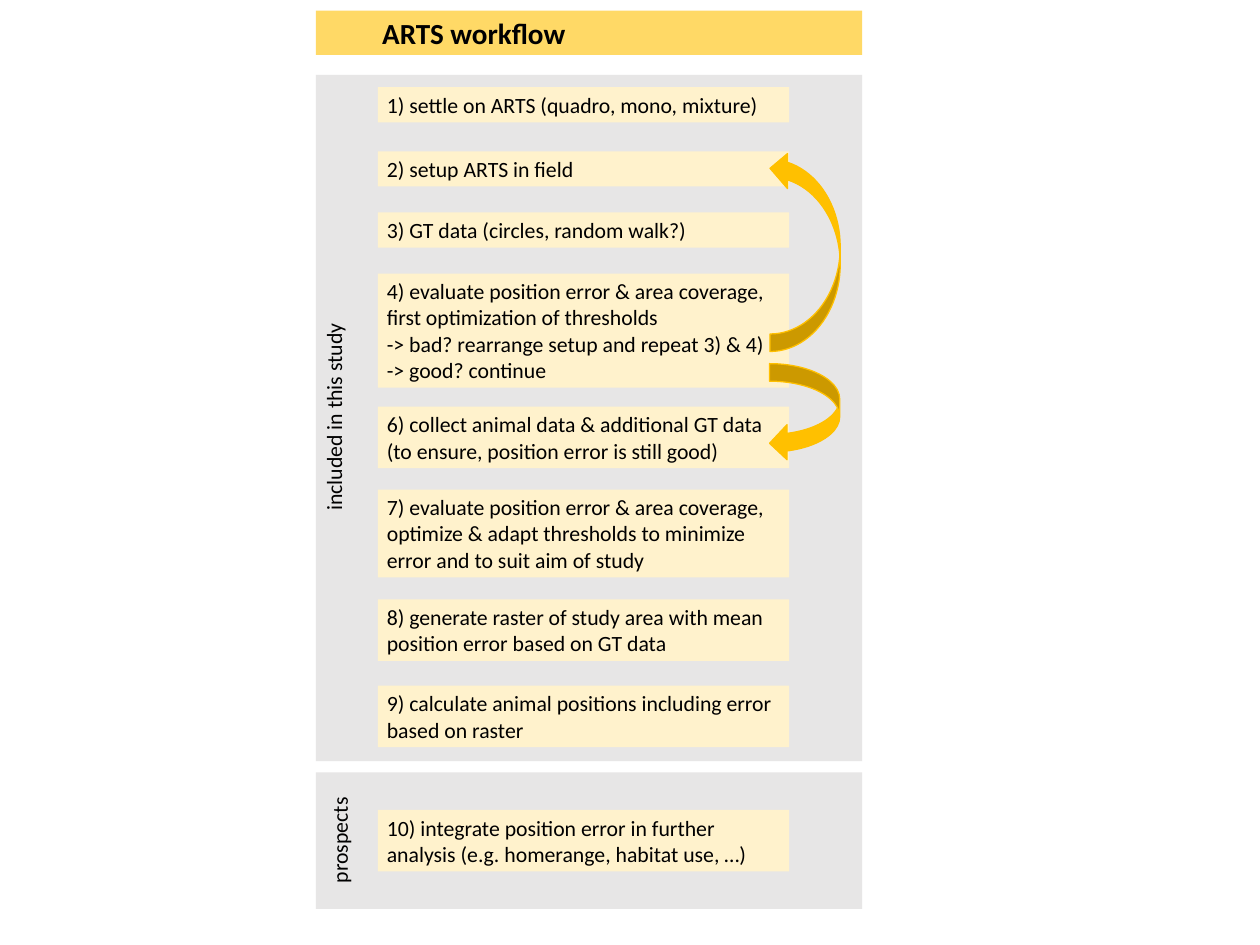
from pptx import Presentation
from pptx.dml.color import RGBColor
from pptx.enum.shapes import MSO_SHAPE
from pptx.enum.text import MSO_ANCHOR, PP_ALIGN
from pptx.util import Pt

BLACK = RGBColor(0x00, 0x00, 0x00)
GREY = RGBColor(0xE7, 0xE6, 0xE6)
CREAM = RGBColor(0xFF, 0xF2, 0xCC)
YELLOW = RGBColor(0xFF, 0xD9, 0x66)
AMBER = RGBColor(0xFF, 0xC0, 0x00)

FONT = "Calibri"
BODY_SIZE = 17.4
TITLE_SIZE = 23.3
PANEL_LEFT, PANEL_WIDTH = 252.7, 437
STEP_LEFT, STEP_WIDTH = 302.4, 329
LINE_HEIGHT, STEP_PADDING = 21, 7.2

# Top, number of lines, text
STEPS = [
    (69.8, 1, "1) settle on ARTS (quadro, mono, mixture)"),
    (121, 1, "2) setup ARTS in field"),
    (170, 1, "3) GT data (circles, random walk?)"),
    (218.9, 4, "4) evaluate position error & area coverage, first optimization of thresholds\n"
               "-> bad? rearrange setup and repeat 3) & 4)\n"
               "-> good? continue"),
    (325.4, 2, "6) collect animal data & additional GT data "
               "(to ensure, position error is still good)"),
    (391.7, 3, "7) evaluate position error & area coverage, optimize & adapt "
               "thresholds to minimize error and to suit aim of study"),
    (479.5, 2, "8) generate raster of study area with mean position error based on GT data"),
    (548.6, 2, "9) calculate animal positions including error based on raster"),
    (648, 2, "10) integrate position error in further analysis "
             "(e.g. homerange, habitat use, …)"),
]


def write_text(box, text, size=BODY_SIZE, bold=False, align=PP_ALIGN.LEFT,
               anchor=MSO_ANCHOR.TOP):
    frame = box.text_frame
    frame.text = text
    frame.word_wrap = True
    frame.vertical_anchor = anchor
    for para in frame.paragraphs:
        para.alignment = align
        for span in para.runs:
            span.font.name = FONT
            span.font.size = Pt(size)
            span.font.bold = bold
            span.font.color.rgb = BLACK


def add_filled_shape(page, kind, left, top, width, height, colour):
    shape = page.shapes.add_shape(kind, Pt(left), Pt(top), Pt(width), Pt(height))
    shape.shadow.inherit = False
    shape.fill.solid()
    shape.fill.fore_color.rgb = colour
    shape.line.fill.background()
    return shape


def add_panel(page, top, height):
    add_filled_shape(page, MSO_SHAPE.RECTANGLE, PANEL_LEFT, top, PANEL_WIDTH, height, GREY)


def add_step(page, top, lines, text):
    height = lines * LINE_HEIGHT + STEP_PADDING
    box = add_filled_shape(page, MSO_SHAPE.RECTANGLE, STEP_LEFT, top, STEP_WIDTH, height, CREAM)
    write_text(box, text)


def add_loop_arrow(page, kind, left, top, width, height, rotation=0):
    arrow = add_filled_shape(page, kind, left, top, width, height, AMBER)
    arrow.rotation = rotation
    arrow.line.color.rgb = AMBER
    arrow.line.width = Pt(1)


def add_side_label(page, left, top, width, text):
    """Add a label that reads upwards; its place is given before rotation."""
    box = page.shapes.add_textbox(Pt(left), Pt(top), Pt(width), Pt(28.1))
    box.rotation = 270
    write_text(box, text, align=PP_ALIGN.CENTER)


def format_title(page, text):
    title = page.shapes.title
    title.left, title.top = Pt(PANEL_LEFT), Pt(8.6)
    title.width, title.height = Pt(PANEL_WIDTH), Pt(35.3)
    title.fill.solid()
    title.fill.fore_color.rgb = YELLOW
    write_text(title, text, TITLE_SIZE, bold=True, anchor=MSO_ANCHOR.MIDDLE)
    title.text_frame.margin_left = Pt(53)


def main():
    deck = Presentation()
    deck.slide_width, deck.slide_height = Pt(1008), Pt(756)
    page = deck.slides.add_slide(deck.slide_layouts[5])

    format_title(page, "ARTS workflow")
    add_panel(page, 60, 549)
    add_panel(page, 617.8, 109.4)
    for top, lines, text in STEPS:
        add_step(page, top, lines, text)
    add_loop_arrow(page, MSO_SHAPE.CURVED_UP_ARROW, 563.8, 172.8, 160.6, 56.2, 270)
    add_loop_arrow(page, MSO_SHAPE.CURVED_LEFT_ARROW, 615.6, 290.9, 56.2, 77.8)
    add_side_label(page, 2.2, 319.7, 529.2, "included in this study")
    add_side_label(page, 216.7, 658.1, 109.4, "prospects")

    deck.save("out.pptx")


if __name__ == "__main__":
    main()
